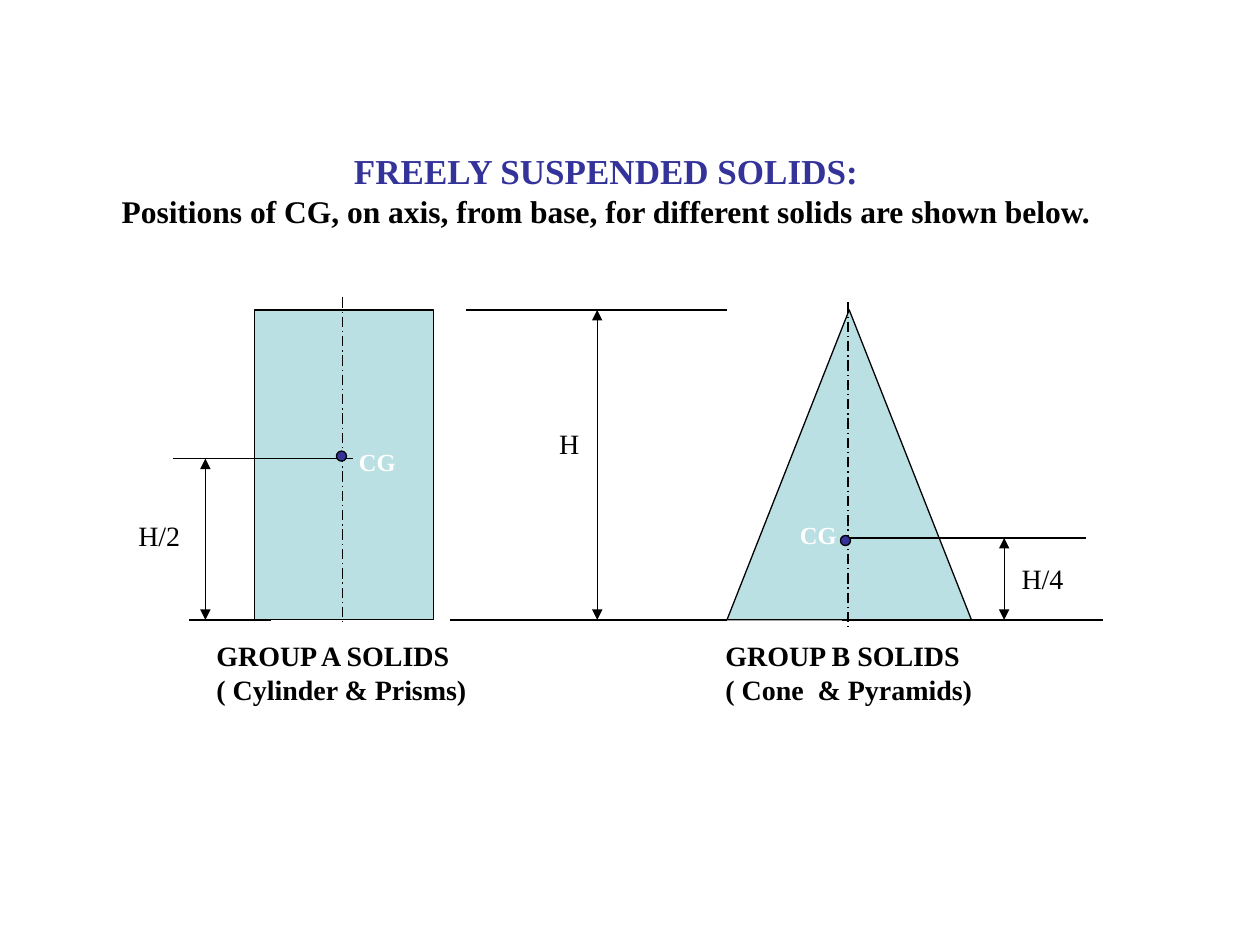
import pptx
import pptx.util
import pptx.dml.color
import pptx.enum.dml
import pptx.enum.shapes
import pptx.enum.text
import pptx.oxml
from pptx.util import Inches

THEME = {
    "font": "Times New Roman",
    "ink": "000000", "accent": "333399", "solid": "BBE0E3", "light": "FFFFFF",
    "title": 20, "subtitle": 18, "label": 16, "small": 14, "line": 0.75,
}
SHAPES = pptx.enum.shapes.MSO_SHAPE
ALIGN = pptx.enum.text.PP_ALIGN

# Heights shared by both solids
TOP, BASE = 2.46, 4.92
HALF, QUARTER = 3.64, 4.27
AXIS_A, AXIS_B = 2.72, 6.73
AXIS_LENGTH = 2.59
DOT = 0.08

TITLE = ["FREELY SUSPENDED SOLIDS:",
         "Positions of CG, on axis, from base, for different solids are shown below."]
# shape, left, width
SOLIDS = [(SHAPES.RECTANGLE, 2.02, 1.42), (SHAPES.ISOSCELES_TRIANGLE, 5.77, 1.94)]
# height on the slide, from x, to x
LEVELS = [(TOP, 3.7, 5.77), (BASE, 3.57, 5.77), (BASE, 1.5, 2.15),
          (HALF, 1.37, 2.8), (QUARTER, 6.68, 8.62), (BASE, 6.68, 8.75)]
# x, top
AXES = [(AXIS_A, 2.36), (AXIS_B, 2.4)]
DIMENSIONS = [(4.74, TOP), (7.97, QUARTER), (1.63, HALF)]
# text, left, top, width, height
DIMENSION_LABELS = [("H", 4.34, 3.34, 0.36, 0.37),
                    ("H/2", 1, 4.07, 0.53, 0.37),
                    ("H/4", 8.01, 4.41, 0.53, 0.37)]
GROUP_LABELS = [(["GROUP A SOLIDS", "( Cylinder & Prisms)"], 1.62, 5.02, 2.2, 0.63),
                (["GROUP B SOLIDS", "( Cone  & Pyramids)"], 5.66, 5.02, 2.17, 0.63)]
CENTRE_LABELS = [("CG", 2.75, 3.5, 0.49, 0.33), ("CG", 6.25, 4.08, 0.49, 0.33)]
CENTRES = [(2.71, 3.62), (6.71, 4.29)]


def color(name):
    return pptx.dml.color.RGBColor.from_string(THEME[name])


def write(frame, lines, sizes=("label",), colors=("ink",), bold=False, align=ALIGN.LEFT):
    """Fill a text frame; the last size and colour serve all further lines."""
    frame.word_wrap = False
    frame.auto_size = pptx.enum.text.MSO_AUTO_SIZE.NONE
    frame.vertical_anchor = pptx.enum.text.MSO_ANCHOR.TOP
    for index, line in enumerate(lines):
        paragraph = frame.add_paragraph() if index else frame.paragraphs[0]
        paragraph.alignment = align
        run = paragraph.add_run()
        run.text = line
        font = run.font
        font.name, font.bold = THEME["font"], bold
        font.size = pptx.util.Pt(THEME[sizes[min(index, len(sizes) - 1)]])
        font.color.rgb = color(colors[min(index, len(colors) - 1)])


def add_label(slide, lines, left, top, width, height, **text_format):
    box = slide.shapes.add_textbox(*map(Inches, (left, top, width, height)))
    write(box.text_frame, [lines] if isinstance(lines, str) else lines, **text_format)


def outline(shape):
    shape.line.color.rgb = color("ink")
    shape.line.width = pptx.util.Pt(THEME["line"])


def add_solid(slide, kind, left, top, width, height, fill="solid"):
    shape = slide.shapes.add_shape(kind, *map(Inches, (left, top, width, height)))
    shape.shadow.inherit = False
    shape.fill.solid()
    shape.fill.fore_color.rgb = color(fill)
    outline(shape)


def add_line(slide, x1, y1, x2, y2, dash=None, arrows=False):
    line = slide.shapes.add_connector(pptx.enum.shapes.MSO_CONNECTOR.STRAIGHT,
                                      *map(Inches, (x1, y1, x2, y2)))
    outline(line)
    if dash:
        line.line.dash_style = dash
    properties = line._element.spPr
    if arrows:
        for end in ("a:headEnd", "a:tailEnd"):
            element = pptx.oxml.xmlchemy.OxmlElement(end)
            element.set("type", "triangle")
            properties.ln.append(element)
    properties.append(pptx.oxml.xmlchemy.OxmlElement("a:effectLst"))


def main():
    presentation = pptx.Presentation()
    presentation.slide_width, presentation.slide_height = Inches(10), Inches(7.5)
    slide = presentation.slides.add_slide(presentation.slide_layouts[5])

    title = slide.shapes.title
    title.left, title.top, title.width, title.height = map(Inches, (0.85, 1.14, 7.92, 0.73))
    write(title.text_frame, TITLE, sizes=("title", "subtitle"),
          colors=("accent", "ink"), bold=True, align=ALIGN.CENTER)

    for kind, left, width in SOLIDS:
        add_solid(slide, kind, left, TOP, width, BASE - TOP)
    for y, start, end in LEVELS:
        add_line(slide, start, y, end, y)
    for x, top in AXES:
        add_line(slide, x, top, x, top + AXIS_LENGTH,
                 dash=pptx.enum.dml.MSO_LINE.LONG_DASH_DOT)
    for x, top in DIMENSIONS:
        add_line(slide, x, top, x, BASE, arrows=True)

    for label in DIMENSION_LABELS:
        add_label(slide, *label)
    for label in GROUP_LABELS:
        add_label(slide, *label, bold=True)
    for label in CENTRE_LABELS:
        add_label(slide, *label, sizes=("small",), colors=("light",), bold=True)
    for x, y in CENTRES:
        add_solid(slide, SHAPES.OVAL, x - DOT / 2, y - DOT / 2, DOT, DOT, fill="accent")

    presentation.save("out.pptx")


if __name__ == "__main__":
    main()
